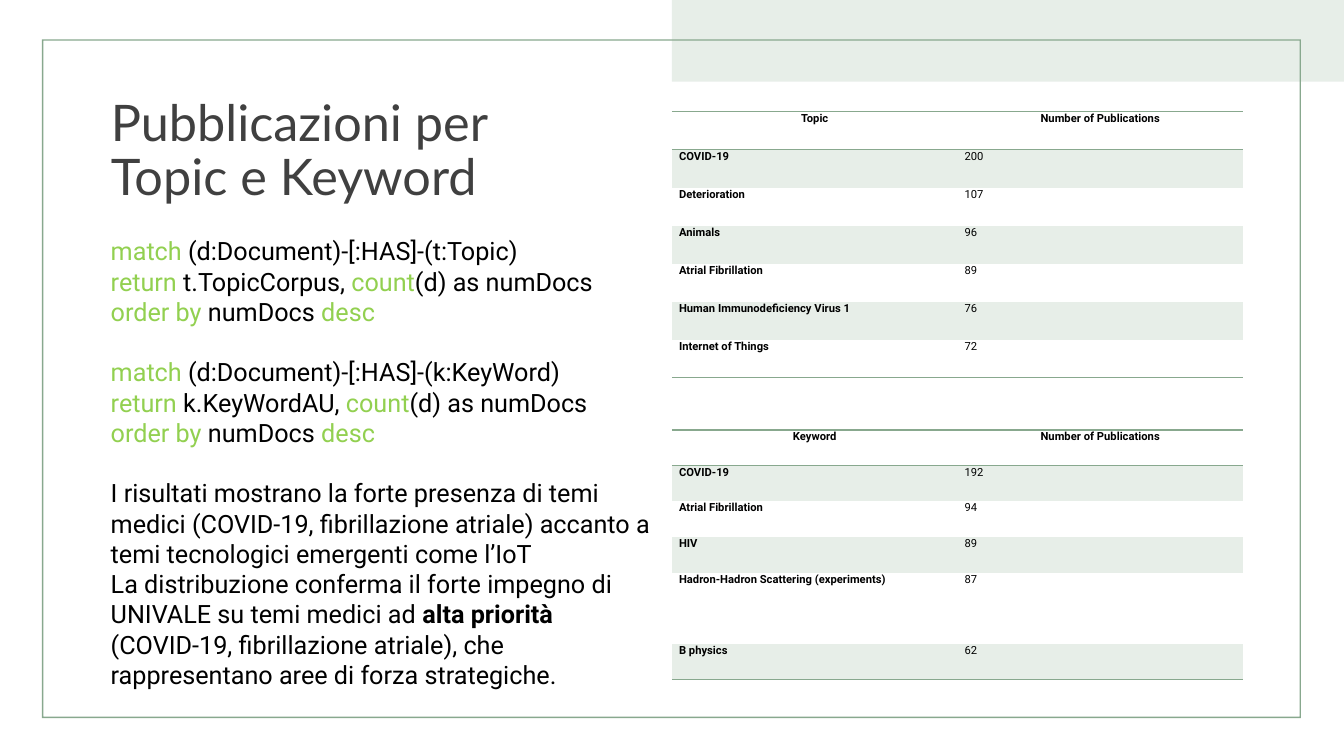
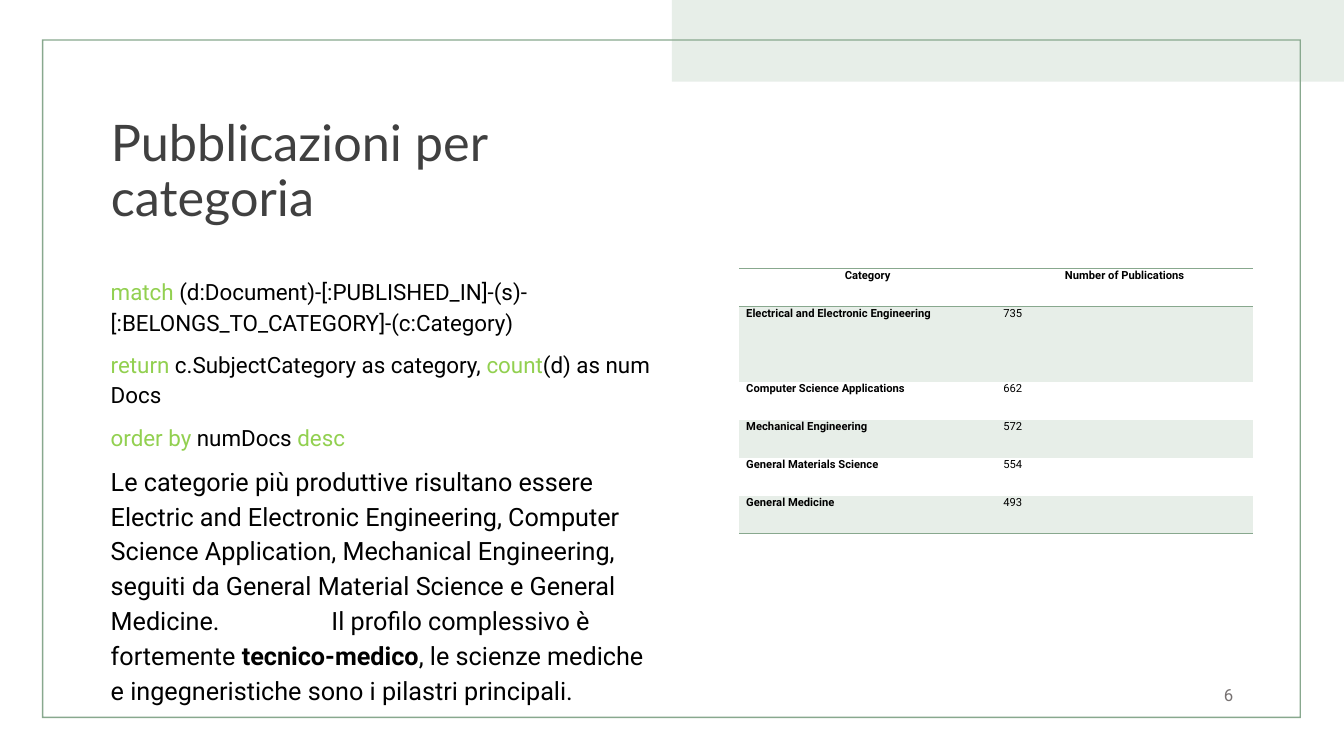
from lxml import etree
from pptx import Presentation
from pptx import util as u
from pptx.dml.color import RGBColor
from pptx.enum import shapes, text
from pptx.oxml import ns

GREEN, PALE, LIME = "88A88E", "E7EEE8", "92D050"
BLACK, DARK, GREY = "000000", "404040", "767171"
COLUMNS, ROWS = 40, 22.5
CELL = u.Inches(40 / 3) / COLUMNS
NBSP = chr(160)
NO_STYLE = "{2D5ABB26-0587-4C30-8999-92F81FD0307C}"
LEFT, CENTER, RIGHT = text.PP_ALIGN.LEFT, text.PP_ALIGN.CENTER, text.PP_ALIGN.RIGHT
TOP, MIDDLE = text.MSO_ANCHOR.TOP, text.MSO_ANCHOR.MIDDLE


def grid(*cells):
    """Turn grid columns and rows into lengths."""
    return [round(count * CELL) for count in cells]


def paint(target, color):
    """Give a fill or a font a solid hex colour."""
    if hasattr(target, "solid"):
        target.solid()
    holder = target.fore_color if hasattr(target, "fore_color") else target.color
    holder.rgb = RGBColor.from_string(color)


def apply(target, values):
    """Set attributes from a dict of format values."""
    for name, value in values.items():
        setattr(target, name, value)


def write(paragraph, words, color=BLACK, layout=None, **font):
    """Add a formatted run to a paragraph."""
    apply(paragraph, {"alignment": LEFT, **(layout or {})})
    run = paragraph.add_run()
    run.text = words
    apply(run.font, {"name": "Roboto", "size": u.Pt(18), "bold": False, **font})
    paint(run.font, color)


def decorate(slide):
    """Add the top band and the thin frame."""
    for kind, box, color in (
        (shapes.MSO_SHAPE.RECTANGLE, (20, 0, 20, 2.43), PALE),
        (shapes.MSO_SHAPE.FRAME, (1.25, 1.17, 37.47, 20.2), GREEN),
    ):
        shape = slide.shapes.add_shape(kind, *grid(*box))
        shape.shadow.inherit = False
        shape.line.fill.background()
        paint(shape.fill, color)
        if kind == shapes.MSO_SHAPE.FRAME:
            shape.adjustments[0] = 0.002


def add_page(deck, heading, top, height):
    """Add a decorated slide with its title."""
    slide = deck.slides.add_slide(deck.slide_layouts[5])
    decorate(slide)
    title = slide.shapes.title
    apply(title, dict(zip(("left", "top", "width", "height"), grid(3, top, 13.5, height))))
    apply(title.text_frame, {"word_wrap": True, "vertical_anchor": MIDDLE,
                             "auto_size": text.MSO_AUTO_SIZE.NONE})
    write(title.text_frame.paragraphs[0], heading, DARK, {"line_spacing": 0.9},
          name="Lato", size=u.Pt(36))
    return slide


def add_frame(slide, box, anchor=TOP):
    """Add a wrapping text box and return its text frame."""
    frame = slide.shapes.add_textbox(*grid(*box)).text_frame
    apply(frame, {"word_wrap": True, "vertical_anchor": anchor})
    return frame


def next_paragraph(frame):
    """Return the first unused paragraph of a frame."""
    first = frame.paragraphs[0]
    return frame.add_paragraph() if first.runs else first


def add_query(frame, lines, size=18, gap=0, **layout):
    """Write query lines, with starred keywords in lime."""
    for index, line in enumerate(lines):
        paragraph = next_paragraph(frame)
        spacing = {"space_before": u.Pt(0 if index else gap), **layout}
        for part, words in enumerate(line.split("*")):
            if words:
                write(paragraph, words.replace(" ", NBSP), LIME if part % 2 else BLACK,
                      spacing, size=u.Pt(size))


def add_prose(frame, prose, gap=0, **layout):
    """Write a paragraph, with starred words in bold."""
    paragraph = next_paragraph(frame)
    for part, words in enumerate(prose.split("*")):
        write(paragraph, words, layout={"space_before": u.Pt(gap), **layout},
              bold=bool(part % 2))
    return paragraph


def add_tab_stop(paragraph, position):
    """Set one left tab stop on a paragraph."""
    stops = etree.SubElement(paragraph._p.get_or_add_pPr(), ns.qn("a:tabLst"))
    etree.SubElement(stops, ns.qn("a:tab"), pos=str(u.Inches(position)), algn="l")


def add_rule(cell, side):
    """Draw a green border on one side of a cell."""
    rule = etree.SubElement(cell._tc.get_or_add_tcPr(), ns.qn(f"a:{side}"), w=str(u.Pt(1)))
    fill = etree.SubElement(rule, ns.qn("a:solidFill"))
    etree.SubElement(fill, ns.qn("a:srgbClr"), val=GREEN)


def add_counts(slide, box, subject, counts, tall=None):
    """Add a ruled table of counts, one row of it double height."""
    rows = [(subject, "Number of Publications"), *counts]
    left, top, width, height = grid(*box)
    table = slide.shapes.add_table(len(rows), 2, left, top, width, height).table
    apply(table, {"first_row": False, "horz_banding": False})
    table._tbl.tblPr.find(ns.qn("a:tableStyleId")).text = NO_STYLE
    weights = [2 if name == tall else 1 for name, _ in rows]
    for index, (row, weight) in enumerate(zip(rows, weights)):
        table.rows[index].height = round(height * weight / sum(weights))
        sides = ("lnT", "lnB") if index == 0 else ("lnB",) if row == rows[-1] else ()
        for column, words in enumerate(row):
            cell = table.cell(index, column)
            apply(cell, {"margin_left": u.Inches(0.07), "margin_right": u.Inches(0.07),
                         "margin_top": 0, "margin_bottom": 0})
            for side in sides:
                add_rule(cell, side)
            if index % 2:
                paint(cell.fill, PALE)
            else:
                cell.fill.background()
            write(cell.text_frame.paragraphs[0], words,
                  layout={"alignment": LEFT if index else CENTER},
                  size=u.Pt(8), bold=index == 0 or column == 0)


def add_topics_page(deck):
    """Build the slide on topics and keywords."""
    slide = add_page(deck, "Pubblicazioni per Topic e Keyword", 2.2, 4.67)
    add_counts(slide, (20, 3.33, 17, 7.92), "Topic", [
        ("COVID-19", "200"), ("Deterioration", "107"), ("Animals", "96"),
        ("Atrial Fibrillation", "89"), ("Human Immunodeficiency Virus 1", "76"),
        ("Internet of Things", "72")])
    body = add_frame(slide, (3, 6.87, 16.65, 13.92))
    blank = 21.6
    for match, field, gap in (("t:Topic", "t.TopicCorpus", 0),
                              ("k:KeyWord", "k.KeyWordAU", blank)):
        add_query(body, [f"*match* (d:Document)-[:HAS]-({match})",
                         f"*return* {field}, *count*(d) as numDocs",
                         "*order by* numDocs *desc*"], gap=gap)
    add_prose(body, "I risultati mostrano la forte presenza di temi medici (COVID-19, "
              "fibrillazione atriale) accanto a temi tecnologici emergenti come l’IoT", blank)
    add_prose(body, "La distribuzione conferma il forte impegno di UNIVALE su temi medici ad "
              "*alta priorità *(COVID-19, fibrillazione atriale), che rappresentano aree di "
              "forza strategiche.")
    add_counts(slide, (20, 12.8, 17, 7.44), "Keyword", [
        ("COVID-19", "192"), ("Atrial Fibrillation", "94"), ("HIV", "89"),
        ("Hadron-Hadron Scattering (experiments)", "87"), ("B physics", "62")],
        tall="Hadron-Hadron Scattering (experiments)")


def add_categories_page(deck):
    """Build the slide on categories."""
    slide = add_page(deck, "Pubblicazioni per categoria", 3.36, 3.57)
    add_counts(slide, (22, 8, 15.3, 7.89), "Category", [
        ("Electrical and Electronic Engineering", "735"),
        ("Computer Science Applications", "662"), ("Mechanical Engineering", "572"),
        ("General Materials Science", "554"), ("General Medicine", "493")],
        tall="Electrical and Electronic Engineering")
    number = add_frame(slide, (28, 20.07, 9, 1.2), MIDDLE)
    write(number.paragraphs[0], "6", GREY, {"alignment": RIGHT}, size=u.Pt(12))
    body = add_frame(slide, (3, 8, 17, 13.65))
    spacing = {"line_spacing": 1.15, "space_after": u.Pt(8)}
    add_query(body, ["*match* (d:Document)-[:PUBLISHED_IN]-(s)-"
                     "[:BELONGS_TO_CATEGORY]-(c:Category)",
                     "*return* c.SubjectCategory as category, *count*(d) as numDocs",
                     "*order by* numDocs *desc*"], size=16, **spacing)
    summary = add_prose(
        body, "Le categorie più produttive risultano essere Electric and Electronic "
        "Engineering, Computer Science Application, Mechanical Engineering, seguiti da "
        "General Material Science e General Medicine.\tIl profilo complessivo è fortemente "
        "*tecnico-medico*, le scienze mediche e ingegneristiche sono i pilastri principali.",
        **spacing)
    add_tab_stop(summary, 2.19)


def main():
    """Build and save the deck."""
    deck = Presentation()
    deck.slide_width, deck.slide_height = grid(COLUMNS, ROWS)
    add_topics_page(deck)
    add_categories_page(deck)
    deck.save("out.pptx")


if __name__ == "__main__":
    main()
